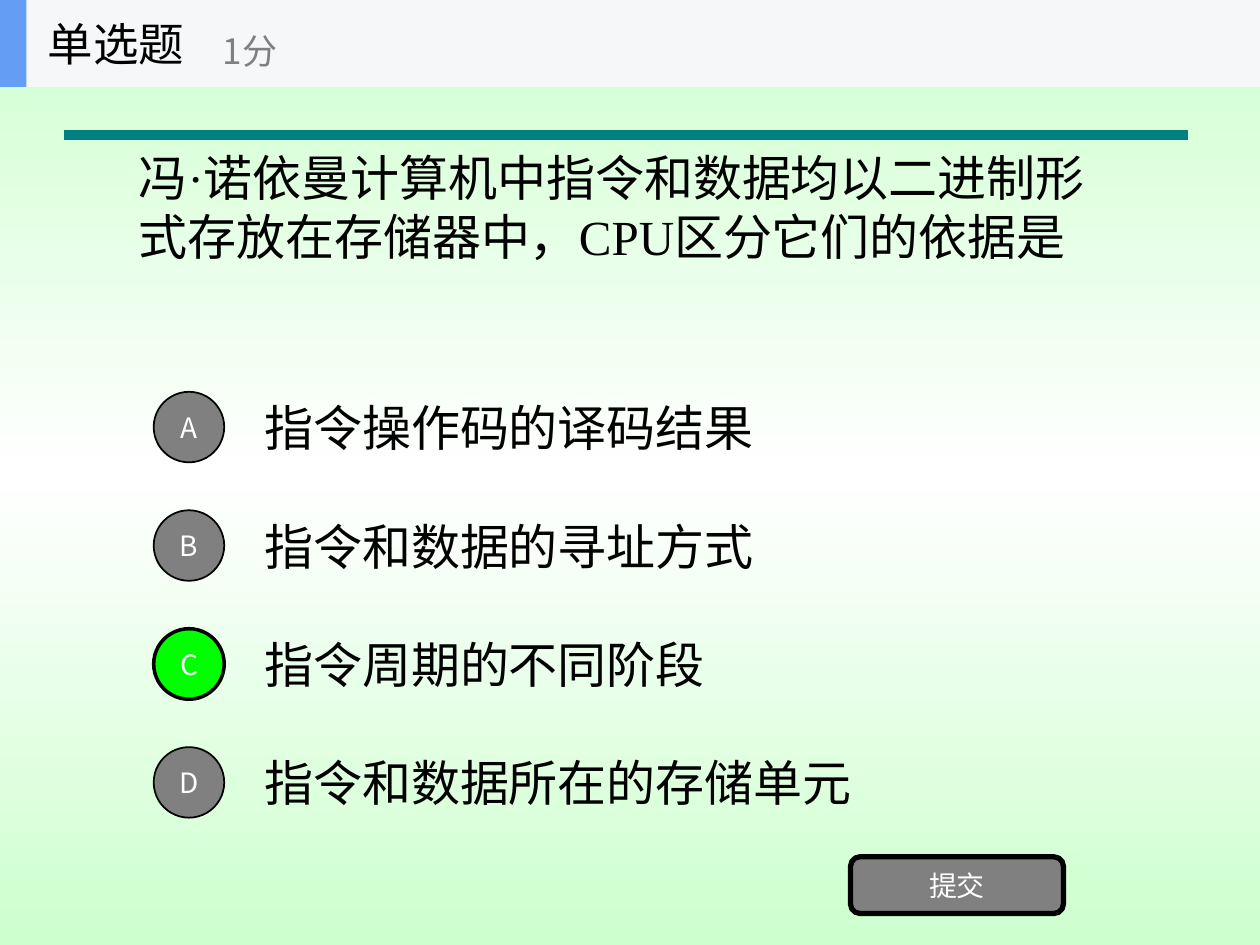
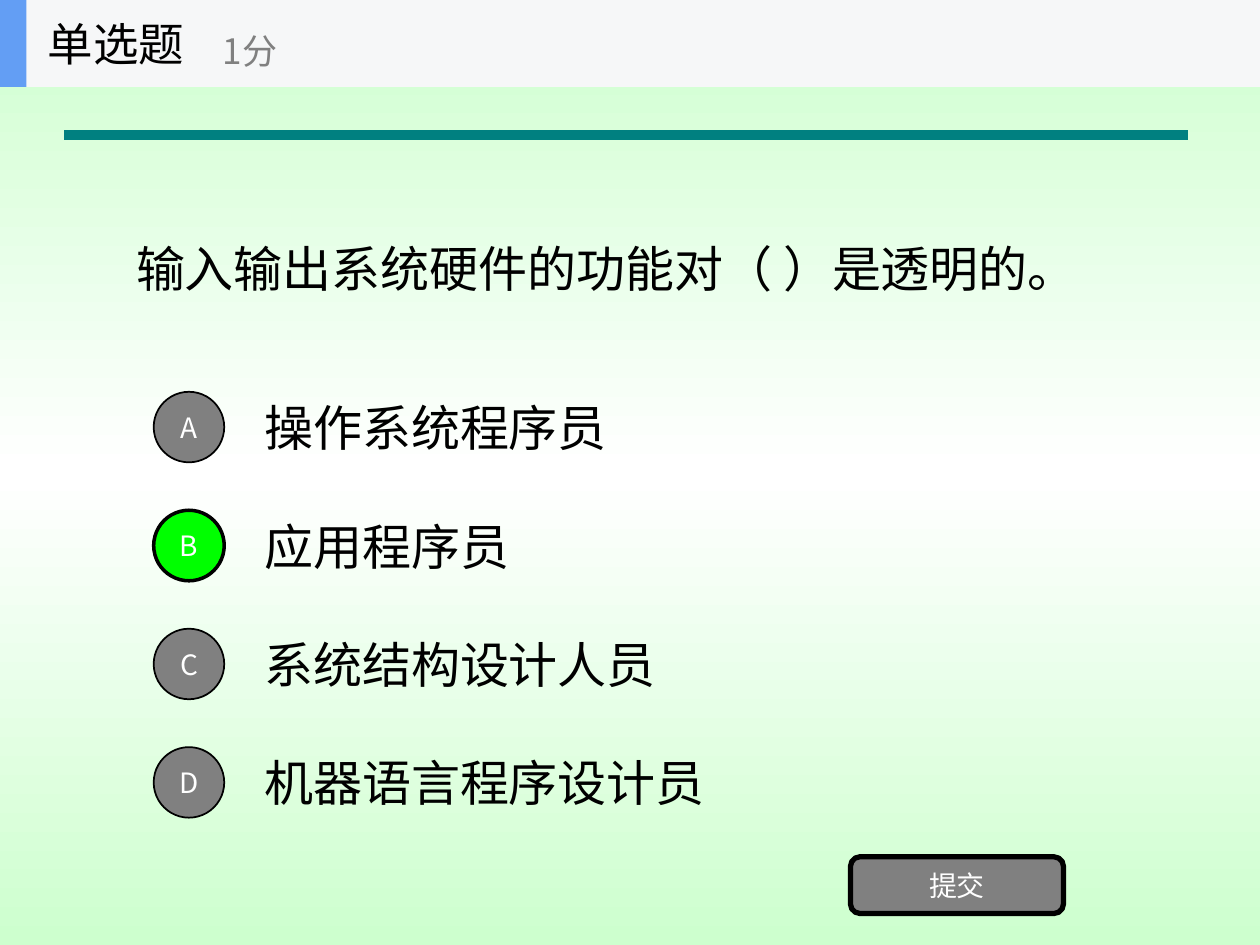
"""Build two single-choice quiz slides."""
from copy import deepcopy
from dataclasses import dataclass

from lxml import etree
from pptx import Presentation
from pptx import util as u
from pptx.dml.color import RGBColor
from pptx.enum import shapes, text
from pptx.oxml.ns import qn


@dataclass(frozen=True)
class Theme:
    mint: str = "CDFFCE"
    white: str = "FFFFFF"
    black: str = "000000"
    grey: str = "808080"
    green: str = "00FF00"
    teal: str = "008080"
    band: str = "F6F7F8"
    accent: str = "639EF4"
    body_font: str = "Times New Roman"
    ui_font: str = "Noto Sans CJK SC"
    body_size: int = 28
    label_size: int = 26
    score_size: int = 20
    button_size: int = 16


QUESTIONS = [
    ("冯·诺依曼计算机中指令和数据均以二进制形式存放在存储器中，CPU区分它们的依据是", (1, 0.47),
     ["指令操作码的译码结果", "指令和数据的寻址方式", "指令周期的不同阶段", "指令和数据所在的存储单元"], "C"),
    ("输入输出系统硬件的功能对（ ）是透明的。", (0.98, 0.96),
     ["操作系统程序员", "应用程序员", "系统结构设计人员", "机器语言程序设计员"], "B"),
]


class Quiz:
    def __init__(self, theme):
        self.t = theme
        self.prs = Presentation()
        self.prs.slide_width, self.prs.slide_height = u.Inches(10), u.Inches(7.5)
        self.s = None
        self.background()

    def background(self):
        fill = self.prs.slide_master.background.fill
        fill.gradient()
        fill.gradient_angle = 90
        first = fill._xPr.find(".//" + qn("a:gs"))
        first.addnext(deepcopy(first))
        stops = zip(fill.gradient_stops, (0, 0.5, 1), (self.t.mint, self.t.white, self.t.mint))
        for stop, position, color in stops:
            stop.position = position
            stop.color.rgb = RGBColor.from_string(color)

    def new_slide(self):
        self.s = self.prs.slides.add_slide(self.prs.slide_layouts[5])

    def set_text(self, sp, words, size, color, font, align=text.PP_ALIGN.LEFT):
        tf = sp.text_frame
        tf.text = words
        tf.word_wrap = True
        tf.auto_size = text.MSO_AUTO_SIZE.NONE
        tf.vertical_anchor = text.MSO_ANCHOR.MIDDLE
        p = tf.paragraphs[0]
        p.alignment = align
        p.font.size = u.Pt(size)
        p.font.color.rgb = RGBColor.from_string(color)
        p.font.name = font
        defaults = p._p.pPr.find(qn("a:defRPr"))
        etree.SubElement(defaults, qn("a:ea"), typeface=self.t.ui_font)

    def title(self, words, left, top):
        sp = self.s.shapes.title
        sp.left, sp.top, sp.width, sp.height = map(u.Inches, (left, top, 8, 2.34))
        self.set_text(sp, words, self.t.body_size, self.t.black, self.t.body_font)

    def label(self, box, words, size, color, font):
        sp = self.s.shapes.add_textbox(*map(u.Inches, box))
        self.set_text(sp, words, size, color, font)

    def shape(self, kind, box, fill, line_width=0):
        sp = self.s.shapes.add_shape(kind, *map(u.Inches, box))
        sp.shadow.inherit = False
        sp.fill.solid()
        sp.fill.fore_color.rgb = RGBColor.from_string(fill)
        if line_width:
            sp.line.color.rgb = RGBColor.from_string(self.t.black)
            sp.line.width = u.Pt(line_width)
        else:
            sp.line.fill.background()
        return sp

    def button(self, kind, box, words, fill, line_width):
        sp = self.shape(kind, box, fill, line_width)
        self.set_text(sp, words, self.t.button_size, self.t.white, self.t.ui_font,
                      text.PP_ALIGN.CENTER)

    def rule(self):
        line = self.s.shapes.add_connector(
            shapes.MSO_CONNECTOR.STRAIGHT, *map(u.Inches, (0.51, 1.07, 9.43, 1.07)))
        line.line.color.rgb = RGBColor.from_string(self.t.teal)
        line.line.width = u.Pt(6)
        etree.SubElement(line._element.spPr, qn("a:effectLst"))

    def header(self):
        t = self.t
        for width, color in ((10, t.band), (0.21, t.accent)):
            self.shape(shapes.MSO_SHAPE.RECTANGLE, (0, 0, width, 0.69), color)
        self.label((0.28, 0, 2.08, 0.69), "单选题", t.label_size, t.black, t.ui_font)
        self.label((1.67, 0.12, 2.5, 0.56), "1分", t.score_size, t.grey, t.ui_font)

    def options(self, choices, answer):
        t = self.t
        for i, (letter, choice) in enumerate(zip("ABCD", choices)):
            top = 3.04 + 0.94 * i
            fill, line_width = (t.green, 2) if letter == answer else (t.grey, 1)
            self.label((2, top, 7, 0.7), choice, t.body_size, t.black, t.body_font)
            self.button(shapes.MSO_SHAPE.OVAL, (1.22, top + 0.07, 0.56, 0.56),
                        letter, fill, line_width)

    def question(self, words, place, choices, answer):
        self.new_slide()
        self.rule()
        self.title(words, *place)
        self.options(choices, answer)
        self.button(shapes.MSO_SHAPE.ROUNDED_RECTANGLE, (6.75, 6.8, 1.69, 0.45),
                    "提交", self.t.grey, 3)
        self.header()


def main():
    quiz = Quiz(Theme())
    for question in QUESTIONS:
        quiz.question(*question)
    quiz.prs.save("out.pptx")


if __name__ == "__main__":
    main()
